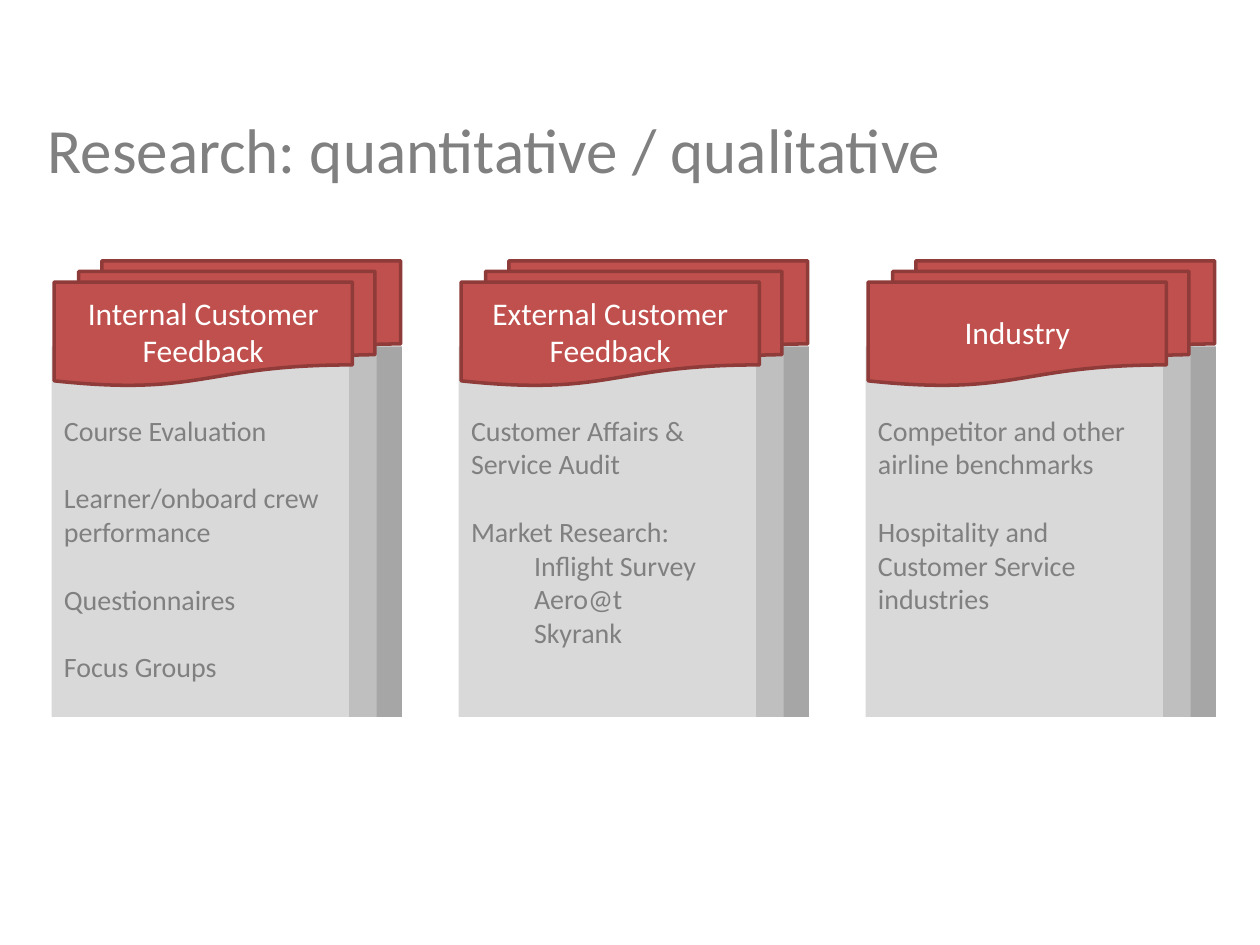
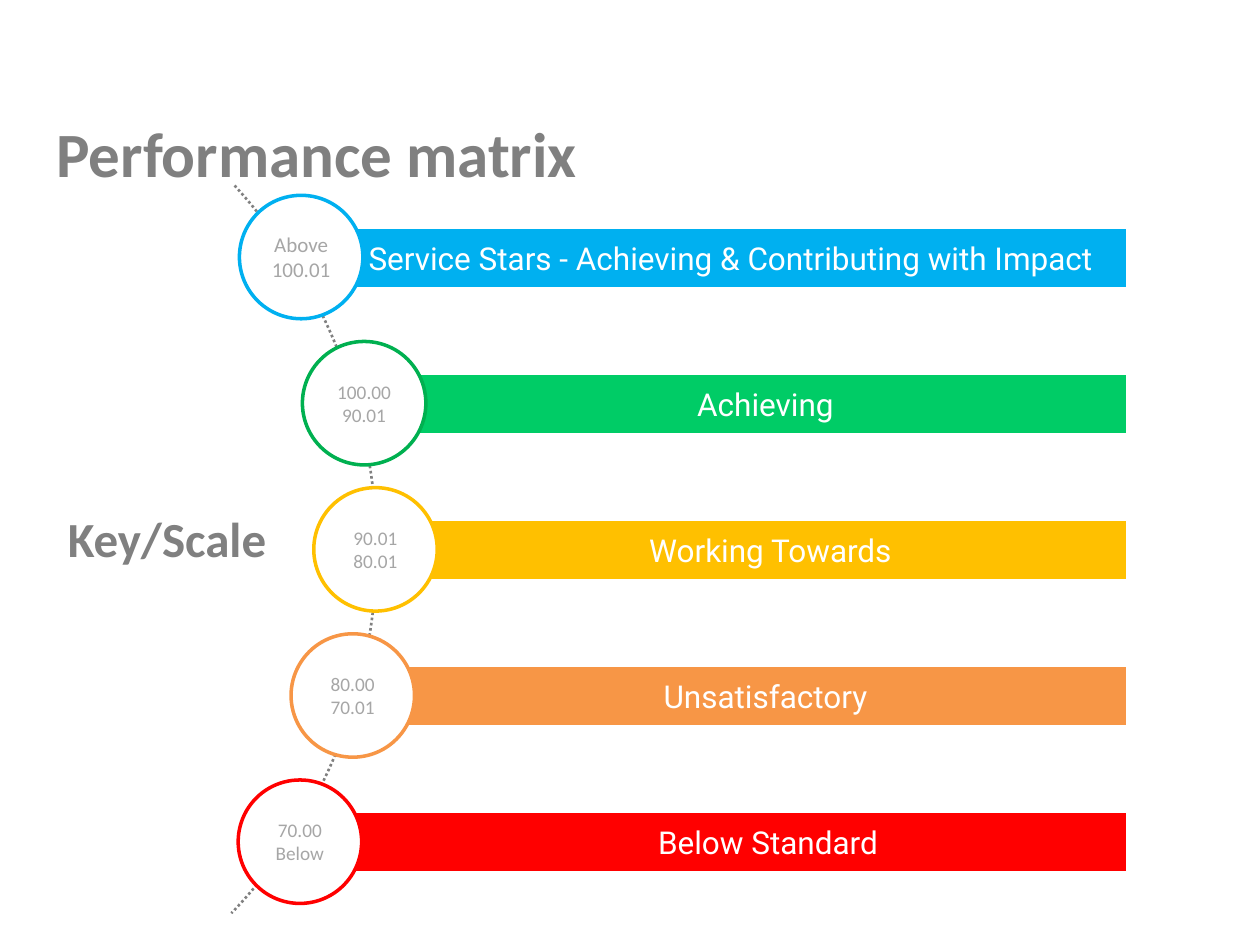
from pptx import Presentation
from pptx.dml.color import RGBColor
from pptx.enum.dml import MSO_LINE
from pptx.enum.shapes import MSO_SHAPE
from pptx.enum.text import MSO_ANCHOR, PP_ALIGN
from pptx.util import Inches, Pt

WHITE = RGBColor(0xFF, 0xFF, 0xFF)
TEXT_GREY = RGBColor(0x80, 0x80, 0x80)
DARK_GREY = RGBColor(0xA6, 0xA6, 0xA6)
MID_GREY = RGBColor(0xBF, 0xBF, 0xBF)
LIGHT_GREY = RGBColor(0xD9, 0xD9, 0xD9)
BRICK = RGBColor(0xC0, 0x50, 0x4D)
BRICK_EDGE = RGBColor(0x8E, 0x3B, 0x39)
BLUE = RGBColor(0x00, 0xB0, 0xF0)
LIGHT_GREEN = RGBColor(0x00, 0xCC, 0x66)
GREEN = RGBColor(0x00, 0xB0, 0x50)
AMBER = RGBColor(0xFF, 0xC0, 0x00)
ORANGE = RGBColor(0xF7, 0x96, 0x46)
RED = RGBColor(0xFF, 0x00, 0x00)

BODY_FONT = "Calibri"
BAR_FONT = "Roboto"

CARDS = [
    ("Internal Customer Feedback",
     [("Course Evaluation", 0, False), ("Learner/onboard crew performance", 0, True),
      ("Questionnaires", 0, True), ("Focus Groups", 0, True)]),
    ("External Customer Feedback",
     [("Customer Affairs & Service Audit", 0, False), ("Market Research:", 0, True),
      ("Inflight Survey", 0.5, False), ("Aero@t", 0.5, False), ("Skyrank", 0.5, False)]),
    ("Industry",
     [("Competitor and other airline benchmarks", 0, False),
      ("Hospitality and Customer Service industries", 0, True)]),
]

LEVELS = [
    ("Service Stars - Achieving & Contributing with Impact", "Above\v100.01", 12,
     1.9, 2.65, BLUE, BLUE, 0.1),
    ("Achieving", "100.00\v90.01", 11, 2.4, 3.2, LIGHT_GREEN, GREEN, 0.1),
    ("Working Towards", "90.01\v80.01", 11, 2.49, 3.28, AMBER, AMBER, 0.1),
    ("Unsatisfactory", "80.00\v70.01", 11, 2.31, 3.2, ORANGE, ORANGE, 0.1),
    ("Below Standard", "70.00\vBelow", 11, 1.89, 2.65, RED, RED, 0.69),
]


class SlideBuilder:
    def __init__(self, deck):
        self.deck = deck

    def new_page(self):
        self.page = self.deck.slides.add_slide(self.deck.slide_layouts[6])
        self.shapes = self.page.shapes

    def start_group(self):
        self.shapes = self.page.shapes.add_group_shape().shapes

    def end_group(self):
        self.shapes = self.page.shapes

    def shape(self, kind, left, top, width, height, fill=None, line=None, weight=2):
        shape = self.shapes.add_shape(kind, Inches(left), Inches(top), Inches(width), Inches(height))
        shape.shadow.inherit = False
        if fill is None:
            shape.fill.background()
        else:
            shape.fill.solid()
            shape.fill.fore_color.rgb = fill
        if line is None:
            shape.line.fill.background()
        else:
            shape.line.color.rgb = line
            shape.line.width = Pt(weight)
        return shape

    def style(self, para, size, color, font=BODY_FONT, bold=False, align=PP_ALIGN.CENTER):
        para.alignment = align
        for span in para.runs:
            span.font.name = font
            span.font.size = Pt(size)
            span.font.bold = bold
            span.font.color.rgb = color

    def label(self, box, text, size, color, font=BODY_FONT, side=0.1):
        frame = box.text_frame
        frame.word_wrap = True
        frame.vertical_anchor = MSO_ANCHOR.MIDDLE
        frame.margin_left = Inches(side)
        para = frame.paragraphs[0]
        para.text = text
        self.style(para, size, color, font)

    def heading(self, text, left, top, width, height, size=36, bold=False,
                anchor=MSO_ANCHOR.TOP, align=PP_ALIGN.LEFT):
        box = self.shapes.add_textbox(Inches(left), Inches(top), Inches(width), Inches(height))
        frame = box.text_frame
        frame.word_wrap = True
        frame.vertical_anchor = anchor
        frame.text = text
        self.style(frame.paragraphs[0], size, TEXT_GREY, bold=bold, align=align)

    def card_text(self, box, items):
        frame = box.text_frame
        frame.word_wrap = True
        frame.vertical_anchor = MSO_ANCHOR.TOP
        frame.margin_top = Inches(0.53)
        frame.text = "\n".join(text for text, indent, spaced in items)
        for para, (text, indent, spaced) in zip(frame.paragraphs, items):
            if indent:
                para._p.get_or_add_pPr().set("marL", str(Inches(indent)))
            if spaced:
                para.space_before = Pt(19.5)
            self.style(para, 16, TEXT_GREY, align=PP_ALIGN.LEFT)

    def card(self, left, title, items):
        self.start_group()
        self.shape(MSO_SHAPE.RECTANGLE, left + 0.42, 2.75, 2.36, 2.94, DARK_GREY)
        self.shape(MSO_SHAPE.RECTANGLE, left + 0.22, 2.81, 2.36, 2.88, MID_GREY)
        front = self.shape(MSO_SHAPE.RECTANGLE, left, 2.75, 2.36, 2.94, LIGHT_GREY)
        self.card_text(front, items)
        header = self.shape(MSO_SHAPE.FLOWCHART_MULTIDOCUMENT, left + 0.02, 2.07, 2.75, 0.99,
                            BRICK, BRICK_EDGE)
        self.label(header, title, 18, WHITE)
        self.end_group()

    def level(self, top, name, score, score_size, circle_left, bar_left, fill, ring, side):
        self.start_group()
        bar = self.shape(MSO_SHAPE.RECTANGLE, bar_left, top + 0.25, 8.95 - bar_left, 0.49, fill, WHITE)
        self.label(bar, name, 18, WHITE, BAR_FONT, side)
        circle = self.shape(MSO_SHAPE.OVAL, circle_left, top, 0.98, 0.98, WHITE, ring)
        self.label(circle, score, score_size, DARK_GREY, side=0)
        circle.text_frame.margin_right = 0
        self.end_group()

    def dotted_arc(self):
        arc = self.shape(MSO_SHAPE.ARC, -5.51, 0.1, 8.53, 8.4, line=TEXT_GREY, weight=1.5)
        arc.rotation = 45
        arc.adjustments[0] = 163.62
        arc.adjustments[1] = 215.24
        arc.line.dash_style = MSO_LINE.ROUND_DOT


def build_research(builder):
    builder.new_page()
    builder.heading("Research: quantitative / qualitative", 0.28, 0.93, 9.22, 0.5,
                    anchor=MSO_ANCHOR.MIDDLE)
    for index, (title, items) in enumerate(CARDS):
        builder.card(0.41 + 3.23 * index, title, items)


def build_matrix(builder):
    builder.new_page()
    builder.heading("Performance matrix", 0.35, 0.86, 9, 0.61, bold=True)
    builder.dotted_arc()
    for index, level in enumerate(LEVELS):
        builder.level(1.55 + 1.16 * index, *level)
    builder.heading("Key/Scale", 0.25, 3.99, 2.15, 0.57, size=28, bold=True, align=PP_ALIGN.CENTER)


def main():
    deck = Presentation()
    deck.slide_width = Inches(10)
    deck.slide_height = Inches(7.5)
    builder = SlideBuilder(deck)
    build_research(builder)
    build_matrix(builder)
    deck.save("out.pptx")


if __name__ == "__main__":
    main()
